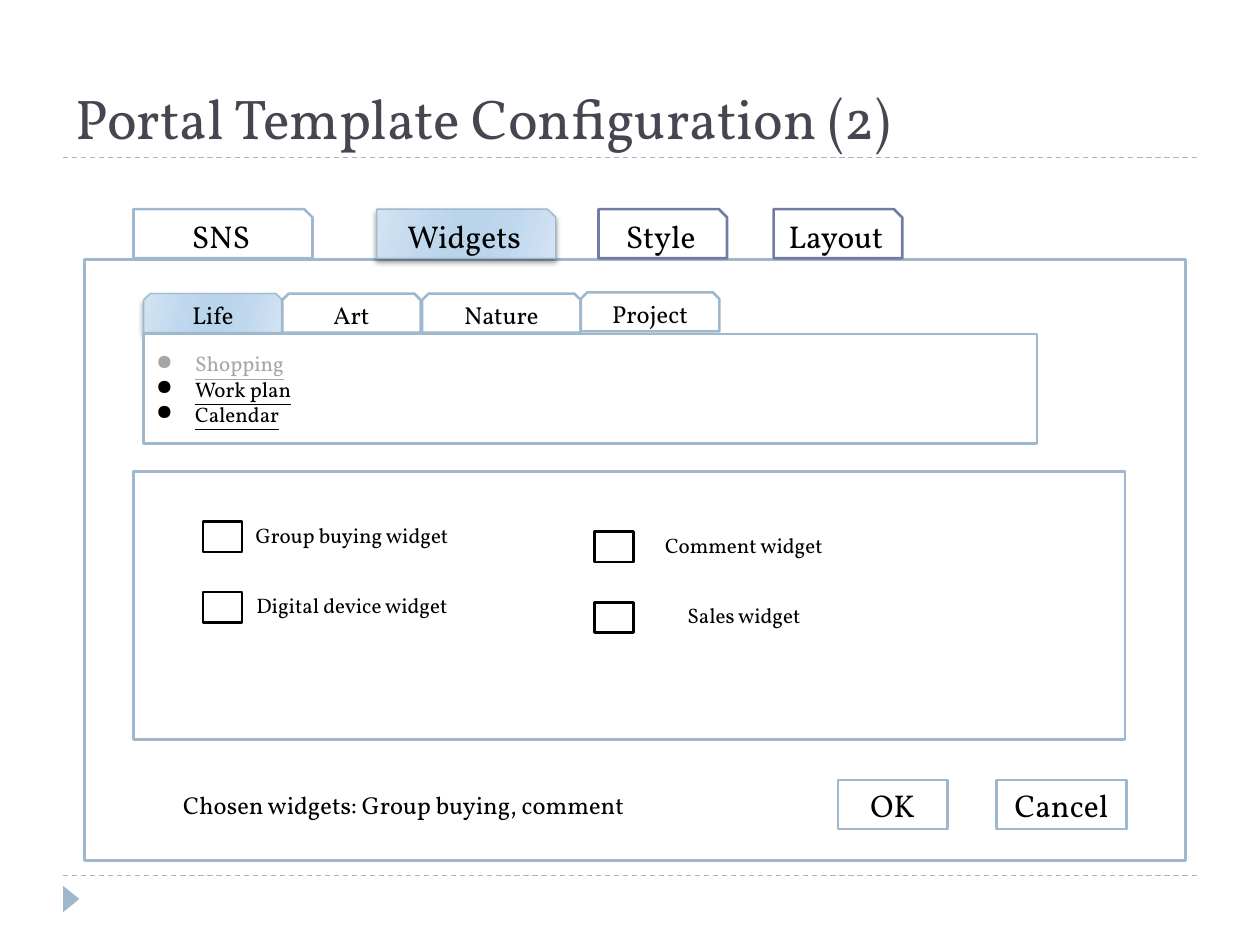
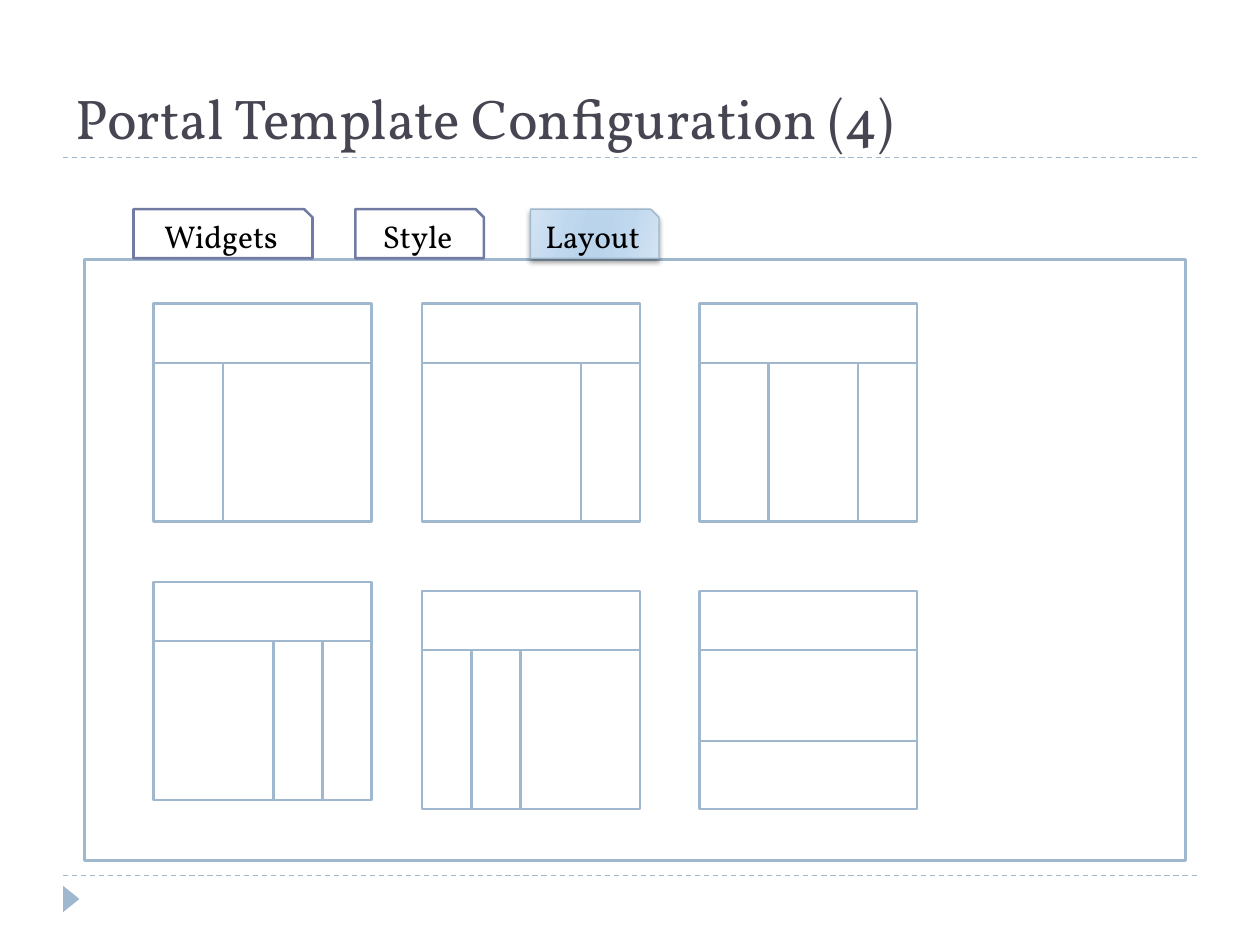
import pptx
import pptx.dml.color
import pptx.enum.dml
import pptx.enum.shapes
import pptx.enum.text
import pptx.util
from lxml import etree
from pptx.oxml.ns import qn
from pptx.util import Inches, Pt

FONT = "Vollkorn"
TITLE_COLOUR = "464653"
BLUE, VIOLET = "9FB8CD", "727CA3"
WHITE, BLACK, GREY = "FFFFFF", "000000", "A6A6A6"
SELECTED_STOPS = [(0, "D3E3F2"), (30, "C0D8EE"), (45, "BAD4EC"),
                  (55, "BAD4EC"), (73, "C0D8EE"), (100, "D3E3F2")]
SELECTED_ANGLE = 16

SHAPES = pptx.enum.shapes.MSO_SHAPE
PANEL = (0.67, 2.06, 8.74, 4.77)
MAIN_TAB_TOP, MAIN_TAB_HEIGHT = 1.66, 0.39
SUB_TAB_HEIGHT = 0.31

# Main tabs: label, left, width, outline colour (None marks the selected tab)
WIDGETS_SLIDE = {
    "title": "Portal Template Configuration (2)",
    "tabs": [("SNS", 1.06, 1.42, BLUE), ("Widgets", 2.99, 1.42, None),
             ("Style", 4.75, 1.02, VIOLET), ("Layout", 6.14, 1.02, VIOLET)],
}
LAYOUT_SLIDE = {
    "title": "Portal Template Configuration (4)",
    "tabs": [("Widgets", 1.06, 1.42, VIOLET), ("Style", 2.82, 1.02, VIOLET),
             ("Layout", 4.21, 1.02, None)],
}

# Sub tabs: label, left, top, width, outline colour
SUB_TABS = [("Life", 1.14, 2.33, 1.1, None), ("Art", 2.24, 2.33, 1.1, BLUE),
            ("Nature", 3.35, 2.33, 1.26, BLUE), ("Project", 4.61, 2.32, 1.1, BLUE)]
LIFE_PAGES = [("Shopping", GREY), ("Work plan", BLACK), ("Calendar", BLACK)]
LIFE_BOX = (1.14, 2.65, 7.09, 0.87)
WIDGET_BOX = (1.06, 3.74, 7.87, 2.13)

# Widget columns: left and top of the first checkbox, labels
WIDGET_COLUMNS = [(1.61, 4.14, ["Group buying widget", "Digital device widget"]),
                  (4.72, 4.22, ["Comment widget", "Sales widget"])]
WIDGET_ROW_STEP = 0.56
CHOSEN_WIDGETS = "Chosen widgets: Group buying, comment "
BUTTONS = [("OK", 6.65, 0.87), ("Cancel", 7.91, 1.03)]
BUTTON_TOP, BUTTON_HEIGHT = 6.19, 0.39

# Page layouts: left, top, x of column dividers, y of row dividers (from the corner)
PAGE_SIZE, PAGE_HEADER = 1.73, 0.47
PAGE_LAYOUTS = [
    (1.22, 2.41, [0.55], []),
    (3.35, 2.41, [1.26], []),
    (5.55, 2.41, [0.55, 1.26], []),
    (1.22, 4.62, [0.95, 1.34], []),
    (3.35, 4.69, [0.39, 0.78], []),
    (5.55, 4.69, [], [1.19]),
]


def rgb(colour):
    return pptx.dml.color.RGBColor.from_string(colour)


def format_runs(paragraph, size, colour):
    for run in paragraph.runs:
        run.font.name = FONT
        run.font.size = Pt(size)
        run.font.color.rgb = rgb(colour)


def add_box(slide, box, outline=None, text="", size=18, kind=SHAPES.RECTANGLE,
            fill=WHITE, outline_width=1.5):
    shape = slide.shapes.add_shape(kind, *map(Inches, box))
    shape.shadow.inherit = False
    shape.fill.solid()
    shape.fill.fore_color.rgb = rgb(fill)
    if outline:
        shape.line.color.rgb = rgb(outline)
        shape.line.width = Pt(outline_width)
    else:
        shape.line.fill.background()
    if text:
        shape.text_frame.text = text
        paragraph = shape.text_frame.paragraphs[0]
        paragraph.alignment = pptx.enum.text.PP_ALIGN.CENTER
        format_runs(paragraph, size, BLACK)
    return shape


def add_line(slide, start, end, width, dashed=False):
    line = slide.shapes.add_connector(pptx.enum.shapes.MSO_CONNECTOR.STRAIGHT,
                                      *map(Inches, start + end))
    line.line.color.rgb = rgb(BLUE)
    line.line.width = Pt(width)
    if dashed:
        line.line.dash_style = pptx.enum.dml.MSO_LINE.DASH
    etree.SubElement(line.element.spPr, qn("a:effectLst"))
    return line


def add_colour(parent, colour):
    return etree.SubElement(parent, qn("a:srgbClr"), val=colour)


def mark_selected(shape):
    """Give a tab the blue gradient and the soft shadow of the selected state."""
    shape.fill.gradient()
    shape.fill.gradient_angle = 360 - SELECTED_ANGLE
    properties = shape.element.spPr
    stops = properties.find(".//" + qn("a:gsLst"))
    for stop in list(stops):
        stops.remove(stop)
    for position, colour in SELECTED_STOPS:
        add_colour(etree.SubElement(stops, qn("a:gs"), pos=str(position * 1000)), colour)
    shadow = etree.SubElement(properties.find(qn("a:effectLst")), qn("a:outerShdw"),
                              blurRad=str(Pt(3)), dist=str(Pt(2)), dir="5400000",
                              rotWithShape="0")
    etree.SubElement(add_colour(shadow, BLACK), qn("a:alpha"), val="40000")


def add_tab(slide, box, label, size, outline, kind):
    tab = add_box(slide, box, outline or BLUE, label, size, kind,
                  outline_width=1.5 if outline else 0.75)
    if outline is None:
        mark_selected(tab)


def decorate_layout(layout, slide):
    """Draw the dashed rules and the corner triangle, then move them to the layout."""
    marks = [add_line(slide, (0.5, y), (9.5, y), 0.75, dashed=True) for y in (6.95, 1.25)]
    triangle = add_box(slide, (0.46, 7.07, 0.21, 0.13), fill=BLUE,
                       kind=SHAPES.ISOSCELES_TRIANGLE)
    triangle.rotation = 90
    for number, mark in enumerate(marks + [triangle], start=101):
        mark.element.find(".//" + qn("p:cNvPr")).set("id", str(number))
        layout.shapes.element.append(mark.element)


def add_tabbed_slide(presentation, layout, content):
    slide = presentation.slides.add_slide(layout)
    title = slide.shapes.title
    title.left, title.top, title.width, title.height = map(Inches, (0.5, 0.25, 9, 1))
    frame = title.text_frame
    frame.text = content["title"]
    frame.auto_size = pptx.enum.text.MSO_AUTO_SIZE.NONE
    frame.vertical_anchor = pptx.enum.text.MSO_ANCHOR.BOTTOM
    frame.paragraphs[0].alignment = pptx.enum.text.PP_ALIGN.LEFT
    format_runs(frame.paragraphs[0], 32, TITLE_COLOUR)
    add_box(slide, PANEL, BLUE)
    for label, left, width, outline in content["tabs"]:
        add_tab(slide, (left, MAIN_TAB_TOP, width, MAIN_TAB_HEIGHT), label, 18, outline,
                SHAPES.SNIP_1_RECTANGLE)
    return slide


def add_page_list(slide):
    frame = add_box(slide, LIFE_BOX, BLUE).text_frame
    for index, (page, colour) in enumerate(LIFE_PAGES):
        paragraph = frame.add_paragraph() if index else frame.paragraphs[0]
        paragraph.text = page
        paragraph.alignment = pptx.enum.text.PP_ALIGN.LEFT
        format_runs(paragraph, 12, colour)
        paragraph.runs[0].font.underline = True
        properties = paragraph._p.get_or_add_pPr()
        properties.set("marL", str(Inches(0.31)))
        properties.set("indent", str(-Inches(0.31)))
        etree.SubElement(properties, qn("a:buChar"), char="●")


def fill_widgets_slide(slide):
    for label, left, top, width, outline in SUB_TABS:
        add_tab(slide, (left, top, width, SUB_TAB_HEIGHT), label, 14, outline,
                SHAPES.SNIP_2_SAME_RECTANGLE)
    add_page_list(slide)
    add_box(slide, WIDGET_BOX, BLUE)
    for left, first_top, labels in WIDGET_COLUMNS:
        for row, label in enumerate(labels):
            top = first_top + row * WIDGET_ROW_STEP
            add_box(slide, (left + 0.32, top - 0.08, 1.73, 0.37), text=label, size=12)
            add_box(slide, (left, top, 0.31, 0.24), BLACK)
    add_box(slide, (1.06, BUTTON_TOP, 4.33, BUTTON_HEIGHT), text=CHOSEN_WIDGETS, size=14)
    for label, left, width in BUTTONS:
        add_box(slide, (left, BUTTON_TOP, width, BUTTON_HEIGHT), BLUE, label)


def fill_layout_slide(slide):
    for left, top, columns, rows in PAGE_LAYOUTS:
        add_box(slide, (left, top, PAGE_SIZE, PAGE_SIZE), BLUE)
        for offset in [PAGE_HEADER] + rows:
            add_line(slide, (left, top + offset), (left + PAGE_SIZE, top + offset), 1.25)
        for offset in columns:
            add_line(slide, (left + offset, top + PAGE_HEADER),
                     (left + offset, top + PAGE_SIZE), 1.5)


def main():
    presentation = pptx.Presentation()
    presentation.slide_width, presentation.slide_height = Inches(10), Inches(7.5)
    layout = presentation.slide_layouts.get_by_name("Title Only")
    widgets_slide = add_tabbed_slide(presentation, layout, WIDGETS_SLIDE)
    decorate_layout(layout, widgets_slide)
    fill_widgets_slide(widgets_slide)
    fill_layout_slide(add_tabbed_slide(presentation, layout, LAYOUT_SLIDE))
    presentation.save("out.pptx")


if __name__ == "__main__":
    main()
